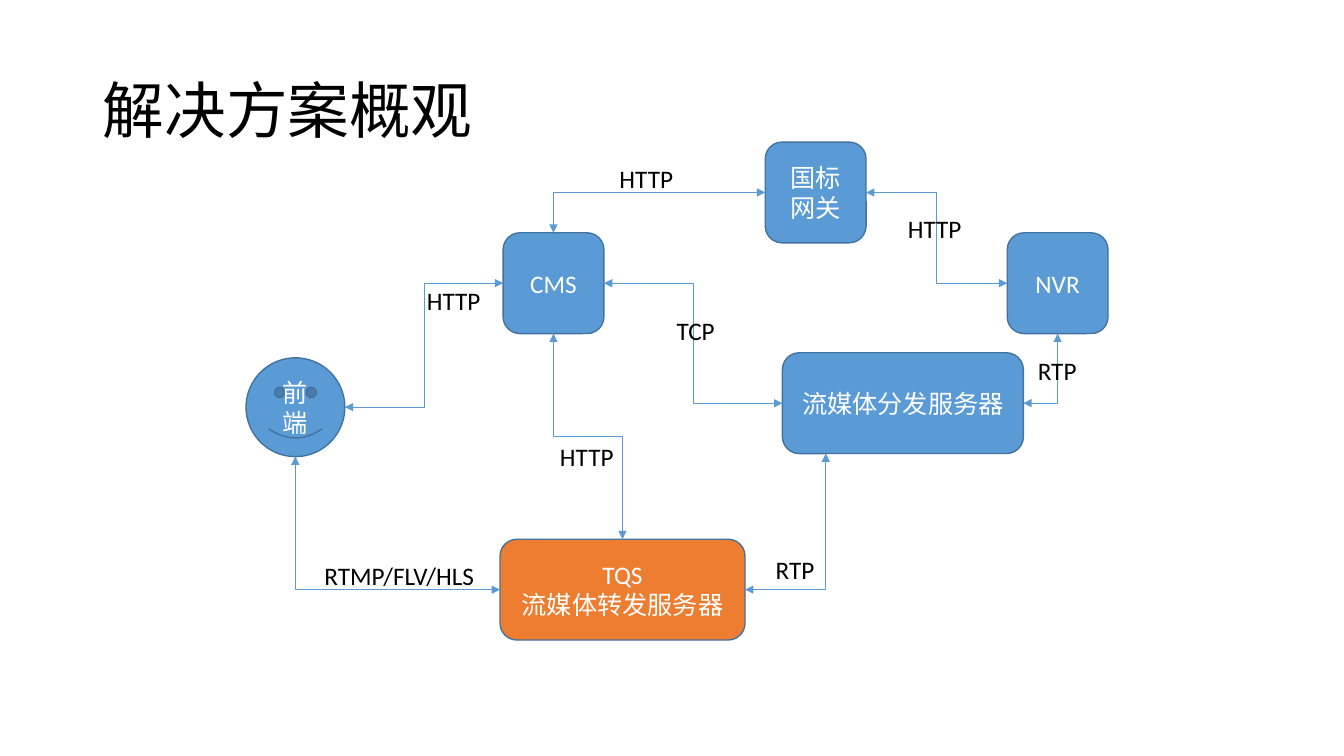
import pptx
import pptx.util
import pptx.dml.color
import pptx.enum.shapes
import pptx.enum.text
import pptx.oxml.ns
import lxml.etree

Inches = pptx.util.Inches
Pt = pptx.util.Pt
qn = pptx.oxml.ns.qn
KIND = pptx.enum.shapes.MSO_SHAPE
ALIGN = pptx.enum.text.PP_ALIGN
ANCHOR = pptx.enum.text.MSO_ANCHOR
BLUE, ORANGE, EDGE = "5B9BD5", "ED7D31", "43739E"
WHITE, BLACK = "FFFFFF", "000000"

# name: text, left, top, width, height, fill, kind
NODES = {
    "relay": ("TQS\n流媒体转发服务器", 4.96, 5.35, 2.43, 1, ORANGE, KIND.ROUNDED_RECTANGLE),
    "nvr": ("NVR", 9.99, 2.31, 1, 1, BLUE, KIND.ROUNDED_RECTANGLE),
    "cms": ("CMS", 4.99, 2.31, 1, 1, BLUE, KIND.ROUNDED_RECTANGLE),
    "front": ("前端", 2.44, 3.55, 0.98, 0.98, BLUE, KIND.SMILEY_FACE),
    "gate": ("国标网关", 7.59, 1.41, 1, 1, BLUE, KIND.ROUNDED_RECTANGLE),
    "media": ("流媒体分发服务器", 7.76, 3.5, 2.39, 1, BLUE, KIND.ROUNDED_RECTANGLE),
}

# start node and side, end node and side, share along the end side
LINKS = [
    ("front", "right", "cms", "left", 0.5),
    ("cms", "bottom", "relay", "top", 0.5),
    ("relay", "right", "media", "bottom", 0.18),
    ("relay", "left", "front", "bottom", 0.5),
    ("gate", "left", "cms", "top", 0.5),
    ("gate", "right", "nvr", "left", 0.5),
    ("media", "right", "nvr", "bottom", 0.5),
    ("cms", "right", "media", "left", 0.5),
]

# text, left, top, width
LABELS = [
    ("HTTP", 4.13, 2.78, 0.74),
    ("HTTP", 5.45, 4.33, 0.74),
    ("HTTP", 6.04, 1.57, 0.74),
    ("RTP", 7.59, 5.45, 0.59),
    ("RTMP/FLV/HLS", 3.11, 5.51, 1.7),
    ("HTTP", 8.9, 2.07, 0.74),
    ("TCP", 6.61, 3.08, 0.58),
    ("RTP", 10.19, 3.48, 0.59),
]


def color(code):
    return pptx.dml.color.RGBColor.from_string(code)


def apply(part, looks):
    for name, value in looks.items():
        setattr(part, name, value)


def write(frame, text, size, code, looks):
    frame.text = text
    for para in frame.paragraphs:
        apply(para, looks)
        for run in para.runs:
            apply(run.font, {"name": "Calibri", "size": Pt(size)})
            run.font.color.rgb = color(code)


def add_title(slide, box):
    title = slide.shapes.title
    left, top, width, height = map(Inches, box)
    apply(title, {"left": left, "top": top, "width": width, "height": height})
    title.text_frame.vertical_anchor = ANCHOR.MIDDLE
    write(title.text_frame, "解决方案概观", 44, BLACK,
          {"alignment": ALIGN.LEFT, "line_spacing": 0.9})


def add_node(slide, text, box, fill, kind):
    node = slide.shapes.add_shape(kind, *map(Inches, box))
    node.shadow.inherit = False
    node.fill.solid()
    node.fill.fore_color.rgb = color(fill)
    node.line.color.rgb = color(EDGE)
    node.line.width = Pt(1)
    node.text_frame.vertical_anchor = ANCHOR.MIDDLE
    write(node.text_frame, text, 18, WHITE, {"alignment": ALIGN.CENTER})


def find_end(name, side, share=0.5):
    left, top, width, height = NODES[name][1:5]
    return {
        "left": (left, top + height * share),
        "right": (left + width, top + height * share),
        "top": (left + width * share, top),
        "bottom": (left + width * share, top + height),
    }[side]


def add_link(slide, start, out, end, into, share):
    x1, y1 = find_end(start, out)
    x2, y2 = find_end(end, into, share)
    upright = out in ("top", "bottom")
    if upright:  # lay the line flat about its centre, then turn it
        midx, midy = (x1 + x2) / 2, (y1 + y2) / 2
        halfx, halfy = (x2 - x1) / 2, (y2 - y1) / 2
        x1, x2 = midx + halfy, midx - halfy
        y1, y2 = midy - halfx, midy + halfx
    link = slide.shapes.add_connector(
        pptx.enum.shapes.MSO_CONNECTOR.ELBOW, *map(Inches, (x1, y1, x2, y2)))
    link.line.color.rgb = color(BLUE)
    link.line.width = Pt(0.5)
    props = link.element.spPr
    if upright:
        props.find(qn("a:xfrm")).set("rot", str(270 * 60000))
    elif into in ("top", "bottom"):
        props.find(qn("a:prstGeom")).set("prst", "bentConnector2")
    # Arrowheads at both ends, no shadow
    edge = props.find(qn("a:ln"))
    for tag in ("a:headEnd", "a:tailEnd"):
        lxml.etree.SubElement(edge, qn(tag)).set("type", "triangle")
    lxml.etree.SubElement(props, qn("a:effectLst"))


def add_label(slide, text, box):
    frame = slide.shapes.add_textbox(*map(Inches, box)).text_frame
    apply(frame, {"word_wrap": False,
                  "auto_size": pptx.enum.text.MSO_AUTO_SIZE.SHAPE_TO_FIT_TEXT})
    write(frame, text, 18, BLACK, {"alignment": ALIGN.CENTER})


def main():
    deck = pptx.Presentation()
    apply(deck, {"slide_width": Inches(13.33), "slide_height": Inches(7.5)})
    slide = deck.slides.add_slide(deck.slide_layouts[5])
    add_title(slide, (0.92, 0.4, 11.5, 1.45))
    # Servers and clients
    for text, left, top, width, height, fill, kind in NODES.values():
        add_node(slide, text, (left, top, width, height), fill, kind)
    # Links between them
    for link in LINKS:
        add_link(slide, *link)
    # Protocol names
    for text, left, top, width in LABELS:
        add_label(slide, text, (left, top, width, 0.4))
    deck.save("out.pptx")


if __name__ == "__main__":
    main()
